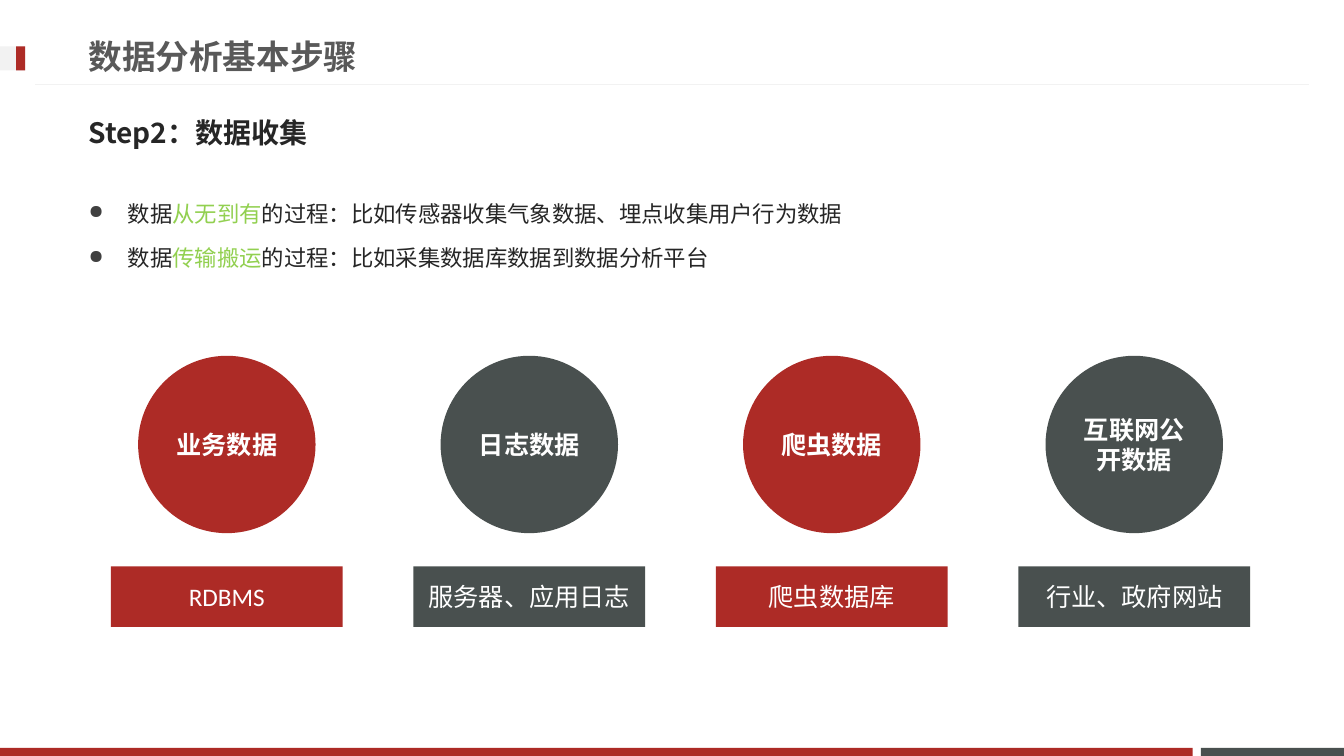
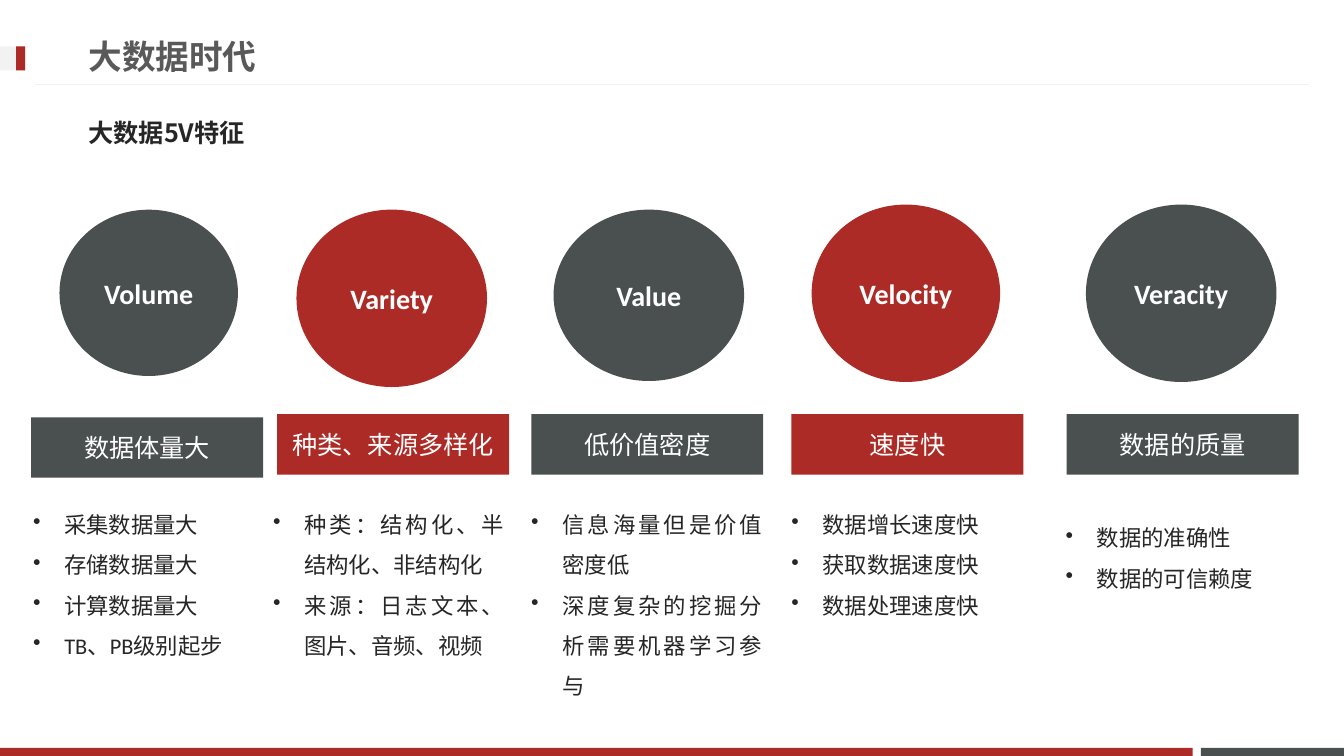
import dataclasses
import typing

import lxml.etree
import pptx
import pptx.dml.color
import pptx.enum.lang
import pptx.enum.shapes
import pptx.enum.text
import pptx.oxml.ns
import pptx.util

Inches = pptx.util.Inches
Pt = pptx.util.Pt
RGB = pptx.dml.color.RGBColor
ALIGN = pptx.enum.text.PP_ALIGN
ANCHOR = pptx.enum.text.MSO_ANCHOR
AUTO_SIZE = pptx.enum.text.MSO_AUTO_SIZE
PRESET = pptx.enum.shapes.MSO_SHAPE
qn = pptx.oxml.ns.qn


@dataclasses.dataclass(frozen=True)
class Theme:
    red: str = "AD2B26"
    slate: str = "49504F"
    pale: str = "F2F2F2"
    white: str = "FFFFFF"
    title: str = "595959"
    ink: str = "262626"
    marker: str = "404040"
    accent: str = "92D050"
    font: str = "Calibri"
    heading_font: str = "Noto Sans CJK JP"
    title_size: int = 24
    large_size: int = 20
    label_size: int = 18
    body_size: int = 16


THEME = Theme()


class Box(typing.NamedTuple):
    left: float
    top: float
    width: float
    height: float


class TextStyle(typing.NamedTuple):
    size: int
    color: str
    bold: bool = False
    font: str = THEME.font


class Span(typing.NamedTuple):
    text: str
    color: str = THEME.ink


class BulletStyle(typing.NamedTuple):
    char: str
    indent: float
    align: ALIGN
    space_before: float = 0
    color: str = ""
    percent: int = 100


@dataclasses.dataclass(frozen=True)
class Topic:
    name: str
    caption: str
    color: str
    circle: Box
    card: Box
    points: tuple[str, ...] = ()
    points_left: float = 0
    points_top: float = 4.89


TITLE = TextStyle(THEME.title_size, THEME.title, True)
CAPTION = TextStyle(THEME.label_size, THEME.white)
STEP_BULLET = BulletStyle("●", 0.39, ALIGN.LEFT, 3.2, THEME.marker, 85)
POINT_BULLET = BulletStyle("•", 0.31, ALIGN.JUSTIFY)
CARD_WIDTH, CARD_HEIGHT = 2.3, 0.6

BANDS = (
    (Box(11.91, 7.42, 1.42, 0.08), THEME.slate),
    (Box(0, 7.42, 11.83, 0.08), THEME.red),
    (Box(0, 0.46, 0.25, 0.24), THEME.pale),
    (Box(0.16, 0.46, 0.09, 0.24), THEME.red),
)

COLLECTION_STEPS = (
    (Span("数据"), Span("从无到有", THEME.accent),
     Span("的过程：比如传感器收集气象数据、埋点收集用户行为数据")),
    (Span("数据"), Span("传输搬运", THEME.accent),
     Span("的过程：比如采集数据库数据到数据分析平台")),
)

DATA_SOURCES = (
    ("业务数据", "RDBMS"),
    ("日志数据", "服务器、应用日志"),
    ("爬虫数据", "爬虫数据库"),
    ("互联网公开数据", "行业、政府网站"),
)


def card_at(left: float, top: float = 4.11) -> Box:
    return Box(left, top, CARD_WIDTH, CARD_HEIGHT)


FIVE_VS = (
    Topic("Volume", "数据体量大", THEME.slate, Box(0.59, 2.08, 1.77, 1.65),
          card_at(0.31, 4.14),
          ("采集数据量大", "存储数据量大", "计算数据量大", "TB、PB级别起步"), 0.23),
    Topic("Variety", "种类、来源多样化", THEME.red, Box(2.94, 2.08, 1.89, 1.76),
          card_at(2.75),
          ("种类：结构化、半结构化、非结构化", "来源：日志文本、图片、音频、视频"), 2.61),
    Topic("Value", "低价值密度", THEME.slate, Box(5.49, 2.08, 1.89, 1.7),
          card_at(5.27),
          ("信息海量但是价值密度低", "深度复杂的挖掘分析需要机器学习参与"), 5.17),
    Topic("Velocity", "速度快", THEME.red, Box(8.05, 2.03, 1.87, 1.76),
          card_at(7.85),
          ("数据增长速度快", "获取数据速度快", "数据处理速度快"), 7.75),
    Topic("Veracity", "数据的质量", THEME.slate, Box(10.77, 2.03, 1.89, 1.76),
          card_at(10.58),
          ("数据的准确性", "数据的可信赖度"), 10.47, 5.02),
)


def apply_format(target: typing.Any, values: dict[str, typing.Any]) -> None:
    for attribute, value in values.items():
        setattr(target, attribute, value)


def to_lengths(box: Box) -> list[pptx.util.Length]:
    return [Inches(value) for value in box]


def add_run(paragraph: typing.Any, text: str, style: TextStyle) -> None:
    run = paragraph.add_run()
    run.text = text
    apply_format(run.font, {
        "name": style.font,
        "size": Pt(style.size),
        "bold": style.bold,
        "language_id": pptx.enum.lang.MSO_LANGUAGE_ID.SIMPLIFIED_CHINESE,
    })
    run.font.color.rgb = RGB.from_string(style.color)
    latin = run.font._element.find(qn("a:latin"))
    east_asian = lxml.etree.Element(qn("a:ea"), typeface=style.font)
    latin.addnext(east_asian)


def add_bullet(paragraph: typing.Any, bullet: BulletStyle) -> None:
    properties = paragraph._p.get_or_add_pPr()
    indent = Inches(bullet.indent)
    properties.set("marL", str(indent))
    properties.set("indent", str(-indent))
    if bullet.color:
        color = lxml.etree.SubElement(properties, qn("a:buClr"))
        lxml.etree.SubElement(color, qn("a:srgbClr"), val=bullet.color)
    lxml.etree.SubElement(properties, qn("a:buSzPct"), val=str(bullet.percent * 1000))
    lxml.etree.SubElement(properties, qn("a:buChar"), char=bullet.char)


def add_block(slide: typing.Any, preset: PRESET, box: Box, color: str) -> typing.Any:
    block = slide.shapes.add_shape(preset, *to_lengths(box))
    block.shadow.inherit = False
    block.fill.solid()
    block.fill.fore_color.rgb = RGB.from_string(color)
    block.line.fill.background()
    return block


def add_label(slide: typing.Any, preset: PRESET, box: Box, color: str,
              text: str, style: TextStyle, side_margin: float) -> None:
    frame = add_block(slide, preset, box, color).text_frame
    apply_format(frame, {
        "word_wrap": True,
        "vertical_anchor": ANCHOR.MIDDLE,
        "margin_left": Inches(side_margin),
        "margin_right": Inches(side_margin),
    })
    frame.paragraphs[0].alignment = ALIGN.CENTER
    add_run(frame.paragraphs[0], text, style)


def add_heading(slide: typing.Any, box: Box, text: str, style: TextStyle) -> None:
    frame = slide.shapes.add_textbox(*to_lengths(box)).text_frame
    apply_format(frame, {"word_wrap": True, "vertical_anchor": ANCHOR.MIDDLE})
    add_run(frame.paragraphs[0], text, style)


def add_bullets(slide: typing.Any, box: Box, lines: typing.Sequence[typing.Sequence[Span]],
                bullet: BulletStyle, auto_size: AUTO_SIZE = AUTO_SIZE.NONE) -> None:
    frame = slide.shapes.add_textbox(*to_lengths(box)).text_frame
    apply_format(frame, {"word_wrap": True, "auto_size": auto_size})
    for index, spans in enumerate(lines):
        paragraph = frame.add_paragraph() if index else frame.paragraphs[0]
        add_bullet(paragraph, bullet)
        apply_format(paragraph, {"alignment": bullet.align, "line_spacing": 1.5})
        if index and bullet.space_before:
            paragraph.space_before = Pt(bullet.space_before)
        for span in spans:
            add_run(paragraph, span.text, TextStyle(THEME.body_size, span.color))


def add_topic(slide: typing.Any, topic: Topic, name_size: int) -> None:
    add_label(slide, PRESET.OVAL, topic.circle, topic.color, topic.name,
              TextStyle(name_size, THEME.white, True), 0.1)
    add_label(slide, PRESET.RECTANGLE, topic.card, topic.color, topic.caption, CAPTION, 0)
    if topic.points:
        height = 0.1 + 0.41 * max(len(topic.points), 2)
        add_bullets(slide, Box(topic.points_left, topic.points_top, 2.49, height),
                    [[Span(point)] for point in topic.points],
                    POINT_BULLET, AUTO_SIZE.SHAPE_TO_FIT_TEXT)


def add_base_slide(deck: typing.Any, title: str, subtitle: str, subtitle_size: int) -> typing.Any:
    slide = deck.slides.add_slide(deck.slide_layouts[6])
    for box, color in BANDS:
        add_block(slide, PRESET.RECTANGLE, box, color)
    rule = slide.shapes.add_connector(
        pptx.enum.shapes.MSO_CONNECTOR.STRAIGHT,
        Inches(12.98), Inches(0.84), Inches(0.35), Inches(0.84))
    rule.line.color.rgb = RGB.from_string(THEME.pale)
    rule.line.width = Pt(0.75)
    lxml.etree.SubElement(rule._element.spPr, qn("a:effectLst"))
    add_heading(slide, Box(0.78, 0.27, 9.59, 0.57), title, TITLE)
    add_heading(slide, Box(0.78, 1.03, 11.76, 0.57), subtitle,
                TextStyle(subtitle_size, THEME.ink, True, THEME.heading_font))
    return slide


def add_collection_slide(deck: typing.Any) -> None:
    slide = add_base_slide(deck, "数据分析基本步骤", "Step2：数据收集", THEME.large_size)
    add_bullets(slide, Box(0.78, 1.8, 11.76, 1.2), COLLECTION_STEPS, STEP_BULLET)
    diameter, pitch = 1.76, 3.0
    for index, (name, caption) in enumerate(DATA_SOURCES):
        left = 1.1 + index * pitch
        circle = Box(left + (CARD_WIDTH - diameter) / 2, 3.53, diameter, diameter)
        color = (THEME.red, THEME.slate)[index % 2]
        add_topic(slide, Topic(name, caption, color, circle, card_at(left, 5.62)),
                  THEME.label_size)


def add_five_v_slide(deck: typing.Any) -> None:
    slide = add_base_slide(deck, "大数据时代", "大数据5V特征", THEME.label_size)
    for topic in FIVE_VS:
        add_topic(slide, topic, THEME.large_size)


def main() -> None:
    deck = pptx.Presentation()
    apply_format(deck, {"slide_width": Inches(13.33), "slide_height": Inches(7.5)})
    add_collection_slide(deck)
    add_five_v_slide(deck)
    deck.save("out.pptx")


if __name__ == "__main__":
    main()
